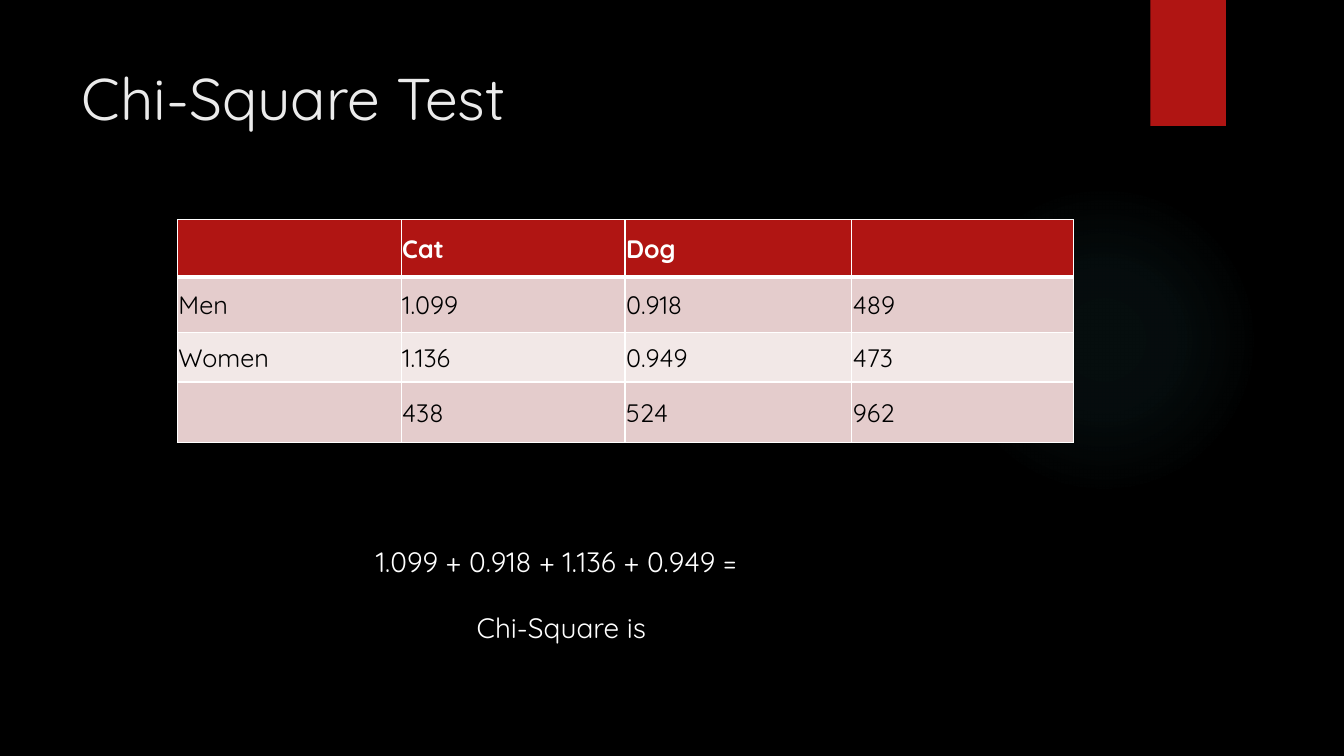
from lxml import etree
from pptx import Presentation
from pptx.dml.color import RGBColor as RGB
from pptx.enum.shapes import MSO_SHAPE as Shape
from pptx.enum.text import MSO_ANCHOR as Anchor, PP_ALIGN as Align
from pptx.oxml import parse_xml
from pptx.oxml.ns import nsdecls, qn
from pptx.util import Inches, Pt

HUES = {
    "back": "000000", "red": "B01513", "glow": "50B9C1", "title": "EBEBEB",
    "white": "FFFFFF", "ink": "000000", "dark": "E4CCCC", "pale": "F2E8E7",
}


class Deck:
    """Holds the style and the current slide."""

    def __init__(self, font):
        self.font = font
        self.prs = Presentation()
        self.prs.slide_width = Inches(13.33)
        self.prs.slide_height = Inches(7.5)

    def start(self, back):
        self.slide = self.prs.slides.add_slide(self.prs.slide_layouts[5])
        self.fill(self.slide.background, back)

    def fill(self, part, hue):
        part.fill.solid()
        part.fill.fore_color.rgb = RGB.from_string(HUES[hue])

    def style(self, para, size, hue, bold=False):
        font = para.font
        font.name, font.size, font.bold = self.font, Pt(size), bold
        font.color.rgb = RGB.from_string(HUES[hue])

    def shape(self, kind, box):
        item = self.slide.shapes.add_shape(kind, *map(Inches, box))
        item.shadow.inherit = False
        item.line.fill.background()
        return item

    def block(self, box, hue):
        self.fill(self.shape(Shape.RECTANGLE, box), hue)

    def glow(self, box, hue, stops):
        """Draw a disc that fades out; stops pair a place and an opacity, in percent."""
        item = self.shape(Shape.OVAL, box)
        item.fill.background()
        marks = "".join(
            f'<a:gs pos="{pos * 1000}"><a:srgbClr val="{HUES[hue]}">'
            f'<a:alpha val="{alpha * 1000}"/></a:srgbClr></a:gs>'
            for pos, alpha in stops)
        grad = parse_xml(
            f'<a:gradFill {nsdecls("a")} rotWithShape="1"><a:gsLst>{marks}</a:gsLst>'
            '<a:path path="circle"><a:fillToRect l="50000" t="50000" '
            'r="50000" b="50000"/></a:path></a:gradFill>')
        props = item.fill._xPr
        props.replace(props.find(qn("a:noFill")), grad)

    def title(self, text, box, size, hue):
        item = self.slide.shapes.title
        item.left, item.top, item.width, item.height = map(Inches, box)
        frame = item.text_frame
        frame.text = text
        frame.vertical_anchor = Anchor.MIDDLE
        para = frame.paragraphs[0]
        para.alignment = Align.LEFT
        self.style(para, size, hue)

    def text(self, lines, box, size, hue, gap):
        """Write lines, each a text and its left indent in inches."""
        frame = self.slide.shapes.add_textbox(*map(Inches, box)).text_frame
        frame.word_wrap = True
        for num, (text, left) in enumerate(lines):
            para = frame.add_paragraph() if num else frame.paragraphs[0]
            para.text = text
            para.space_before = Pt(gap if num else 0)
            para._p.get_or_add_pPr().set("marL", str(Inches(left)))
            self.style(para, size, hue)

    def edge(self, cell, hue, low):
        """Border a cell with 1 pt lines and a bottom line of its own width."""
        props = cell._tc.get_or_add_tcPr()
        for num, side in enumerate("LRTB"):
            width = Pt(low if side == "B" else 1)
            line = etree.Element(qn(f"a:ln{side}"), w=str(width))
            fill = etree.SubElement(line, qn("a:solidFill"))
            etree.SubElement(fill, qn("a:srgbClr"), val=HUES[hue])
            props.insert(num, line)

    def table(self, rows, box, wide, high, size):
        grid = self.slide.shapes.add_table(
            len(rows), len(wide), *map(Inches, box)).table
        for col, width in zip(grid.columns, wide):
            col.width = Inches(width)
        for num, (row, height) in enumerate(zip(rows, high)):
            grid.rows[num].height = Inches(height)
            head = num == 0
            hue = "red" if head else ("pale", "dark")[num % 2]
            for pos, text in enumerate(row):
                cell = grid.cell(num, pos)
                cell.text = text
                cell.vertical_anchor = Anchor.MIDDLE
                cell.margin_left = cell.margin_right = cell.margin_top = Inches(0.01)
                cell.margin_bottom = 0
                self.fill(cell, hue)
                # The header's thick rule is also the top of the first body row
                self.edge(cell, "white", 3 if head else 1)
                if num == 1:
                    cell._tc.tcPr.find(qn("a:lnT")).set("w", str(Pt(3)))
                self.style(cell.text_frame.paragraphs[0], size,
                           "white" if head else "ink", head)


def main():
    deck = Deck("Quicksand")
    deck.start("back")

    # Backdrop: faint glow and red tab
    deck.glow((9.41, 1.83, 3.08, 3.08), "glow", [(0, 7), (36, 6), (69, 0)])
    deck.block((11.41, 0, 0.75, 1.25), "red")

    # Title
    deck.title("Chi-Square Test", (0.71, 0.5, 10.29, 0.93), 42, "title")

    # Table of chi-square terms with totals
    rows = [
        ("", "Cat", "Dog", ""),
        ("Men", "1.099", "0.918", "489"),
        ("Women", "1.136", "0.949", "473"),
        ("", "438", "524", "962"),
    ]
    deck.table(rows, (1.76, 2.18, 8.89, 2.21), (2.22, 2.22, 2.25, 2.2),
               (0.57, 0.55, 0.49, 0.6), 18)

    # Sum and result
    lines = [("1.099 + 0.918 + 1.136 + 0.949 =", 0), ("Chi-Square is", 1)]
    deck.text(lines, (3.63, 5.35, 5.11, 1.11), 20, "white", 23)

    deck.prs.save("out.pptx")


if __name__ == "__main__":
    main()
